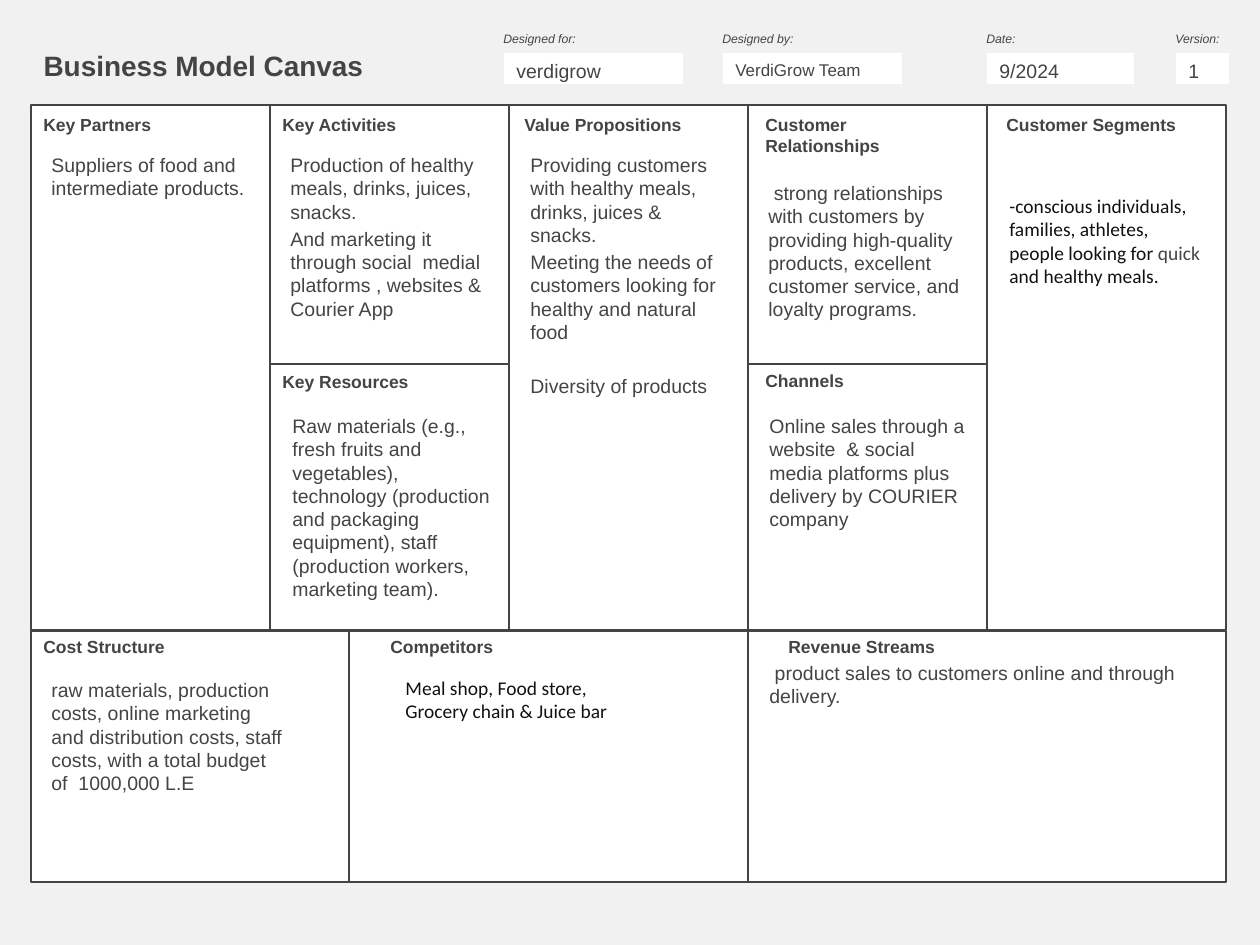
from pptx import Presentation
from pptx.dml.color import RGBColor
from pptx.enum.shapes import MSO_SHAPE
from pptx.enum.text import MSO_ANCHOR, PP_ALIGN
from pptx.util import Emu, Pt

RECTANGLE = MSO_SHAPE.RECTANGLE
TOP, MIDDLE, LEFT = MSO_ANCHOR.TOP, MSO_ANCHOR.MIDDLE, PP_ALIGN.LEFT

PX = 914400 // 126
PAGE = (1260, 945)
BACKGROUND = RGBColor(0xF1, 0xF1, 0xF1)
WHITE = RGBColor(0xFF, 0xFF, 0xFF)
GREY = RGBColor(0x44, 0x44, 0x44)
BLACK = RGBColor(0x11, 0x11, 0x11)

TITLE_STYLE = {"name": "Arial", "size": Pt(16), "bold": True, "color": GREY}
LABEL_STYLE = {"name": "Arial", "size": Pt(7), "italic": True, "color": GREY}
HEADING_STYLE = {"name": "Arial", "size": Pt(10), "bold": True, "color": GREY}
BODY_STYLE = {"name": "Arial", "size": Pt(11.1), "color": GREY}
SMALL_STYLE = {**BODY_STYLE, "size": Pt(9.7)}
CALIBRI_STYLE = {**BODY_STYLE, "name": "Calibri", "color": BLACK}
CALIBRI_GREY_STYLE = {**CALIBRI_STYLE, "color": GREY}

LINE_RATIO = 1.2      # line pitch of body text, relative to its size
PARA_GAP = 2.2        # points before each further paragraph
WIDE_GAP = 17.7       # points before a paragraph set apart

TITLE = "Business Model Canvas"
TITLE_BOX = (31, 42, 398, 47)

# label, value, left, width, value style
FIELDS = [
    ("Designed for:", "verdigrow", 504, 179, BODY_STYLE),
    ("Designed by:", "VerdiGrow Team", 723, 179, SMALL_STYLE),
    ("Date:", "9/2024", 987, 147, BODY_STYLE),
    ("Version:", "1", 1176, 53, BODY_STYLE),
]

# heading, heading left and top, body box, paragraphs of (gap before, runs)
SECTIONS = [
    ("Key Partners", (31, 108), (39, 147, 223, 472), [
        (0, [("Suppliers of food and intermediate products.", BODY_STYLE)])]),
    ("Key Activities", (270, 108), (278, 147, 223, 210), [
        (0, [("Production of healthy meals, drinks, juices, snacks.", BODY_STYLE)]),
        (PARA_GAP, [("And marketing it through social  medial platforms , "
                     "websites & Courier App", BODY_STYLE)])]),
    ("Key Resources", (270, 365), (280, 408, 223, 210), [
        (0, [("Raw materials (e.g., fresh fruits and vegetables), technology "
              "(production and packaging equipment), staff (production workers, "
              "marketing team).", BODY_STYLE)])]),
    ("Value Propositions", (512, 108), (518, 147, 223, 472), [
        (0, [("Providing customers with healthy meals, drinks, juices & snacks.",
              BODY_STYLE)]),
        (PARA_GAP, [("Meeting the needs of customers looking for healthy and "
                     "natural food", BODY_STYLE)]),
        (WIDE_GAP, [("Diversity of products", BODY_STYLE)])]),
    ("Customer Relationships", (753, 108), (756, 175, 223, 185), [
        (0, [(" strong relationships with customers by providing high-quality "
              "products, excellent customer service, and loyalty programs.",
              BODY_STYLE)])]),
    ("Channels", (753, 364), (757, 408, 223, 210), [
        (0, [("Online sales through a website  & social media platforms plus "
              "delivery by COURIER company", BODY_STYLE)])]),
    ("Customer Segments", (994, 108), (997, 188, 223, 421), [
        (0, [("-conscious individuals, families, athletes, people looking for ",
              CALIBRI_STYLE),
             ("quick ", CALIBRI_GREY_STYLE),
             ("and healthy meals.", CALIBRI_STYLE)])]),
    ("Cost Structure", (31, 630), (39, 672, 261, 199), [
        (0, [("raw materials, production costs, online marketing and distribution "
              "costs, staff costs, with a total budget of  1000,000 L.E",
              BODY_STYLE)])]),
    ("Competitors", (378, 630), (393, 670, 261, 199), [
        (0, [("Meal shop, Food store, Grocery chain & Juice bar", CALIBRI_STYLE)])]),
    ("Revenue Streams", (776, 630), (757, 655, 445, 185), [
        (0, [(" product sales to customers online and through delivery.",
              BODY_STYLE)])]),
]

# Canvas grid: five equal columns, some split in two, over a bottom band
GRID_LEFT, GRID_TOP, GRID_SPLIT, GRID_BASE = 31, 105, 364, 630
BAND_TOP, BAND_BOTTOM = 631, 882
COLUMN = 239
SPLIT_COLUMNS = (False, True, False, True, False)
COMPETITORS_LEFT, REVENUE_LEFT = 349, GRID_LEFT + 3 * COLUMN
GRID_RIGHT = GRID_LEFT + len(SPLIT_COLUMNS) * COLUMN


def px(box):
    return [Emu(length * PX) for length in box]


def style_span(span, style):
    for key, value in style.items():
        if key == "color":
            span.font.color.rgb = value
        else:
            setattr(span.font, key, value)


def add_rectangle(slide, box, fill=None, line=None):
    shape = slide.shapes.add_shape(RECTANGLE, *px(box))
    shape.shadow.inherit = False
    if fill is None:
        shape.fill.background()
    else:
        shape.fill.solid()
        shape.fill.fore_color.rgb = fill
    if line is None:
        shape.line.fill.background()
    else:
        shape.line.color.rgb = line
        shape.line.width = Pt(0.75)


def add_text(slide, box, text, style):
    shape = slide.shapes.add_textbox(*px(box))
    shape.text_frame.word_wrap = True
    span = shape.text_frame.paragraphs[0].add_run()
    span.text = text
    style_span(span, style)


def add_body(slide, box, paragraphs):
    """Add a white box of paragraphs with a fixed line pitch."""
    shape = slide.shapes.add_textbox(*px(box))
    shape.fill.solid()
    shape.fill.fore_color.rgb = WHITE
    frame = shape.text_frame
    frame.word_wrap = True
    frame.vertical_anchor = TOP
    for index, (gap, runs) in enumerate(paragraphs):
        para = frame.add_paragraph() if index else frame.paragraphs[0]
        para.space_before = Pt(gap)
        para.line_spacing = Pt(round(runs[0][1]["size"].pt * LINE_RATIO, 1))
        for text, style in runs:
            span = para.add_run()
            span.text = text
            style_span(span, style)


def add_title(slide):
    title = slide.shapes.title
    title.left, title.top, title.width, title.height = px(TITLE_BOX)
    title.text_frame.text = TITLE
    title.text_frame.vertical_anchor = MIDDLE
    para = title.text_frame.paragraphs[0]
    para.alignment = LEFT
    style_span(para.runs[0], TITLE_STYLE)


def add_grid(slide):
    add_rectangle(slide, (GRID_LEFT, GRID_TOP, GRID_RIGHT - GRID_LEFT,
                          BAND_BOTTOM - GRID_TOP), WHITE, WHITE)
    for index, split in enumerate(SPLIT_COLUMNS):
        edges = [GRID_TOP, GRID_SPLIT, GRID_BASE] if split else [GRID_TOP, GRID_BASE]
        for top, bottom in zip(edges, edges[1:]):
            box = (GRID_LEFT + index * COLUMN, top, COLUMN, bottom - top)
            add_rectangle(slide, box, line=GREY)
    for left, right in ((GRID_LEFT, REVENUE_LEFT), (COMPETITORS_LEFT, GRID_RIGHT)):
        box = (left, BAND_TOP, right - left, BAND_BOTTOM - BAND_TOP)
        add_rectangle(slide, box, line=GREY)


def main():
    deck = Presentation()
    deck.slide_width, deck.slide_height = px(PAGE)
    slide = deck.slides.add_slide(deck.slide_layouts[5])
    slide.background.fill.solid()
    slide.background.fill.fore_color.rgb = BACKGROUND
    add_title(slide)
    add_grid(slide)
    for label, value, left, width, style in FIELDS:
        add_text(slide, (left - 13, 25, max(width, 80), 28), label, LABEL_STYLE)
        add_body(slide, (left, 53, width, 31), [(0, [(value, style)])])
    for heading, (left, top), body_box, paragraphs in SECTIONS:
        add_text(slide, (left, top, 223, 34), heading, HEADING_STYLE)
        add_body(slide, body_box, paragraphs)
    deck.save("out.pptx")


if __name__ == "__main__":
    main()
